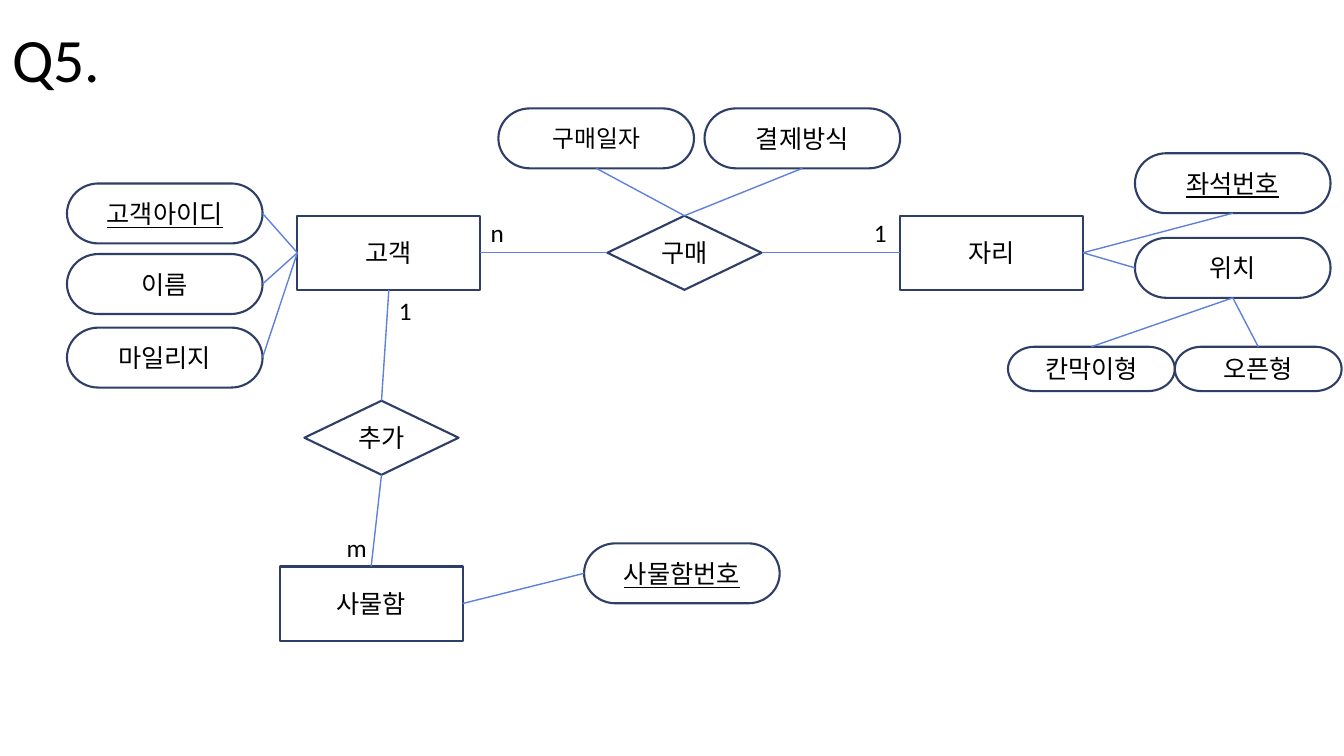
from dataclasses import dataclass

from pptx import Presentation
from pptx.dml.color import RGBColor
from pptx.enum.shapes import MSO_CONNECTOR, MSO_SHAPE
from pptx.enum.text import MSO_ANCHOR, MSO_AUTO_SIZE, PP_ALIGN
from pptx.oxml.ns import qn
from pptx.util import Emu, Inches, Pt
from lxml import etree

RECT = MSO_SHAPE.RECTANGLE
OVAL = MSO_SHAPE.FLOWCHART_TERMINATOR
RHOMB = MSO_SHAPE.FLOWCHART_DECISION
STRAIGHT = MSO_CONNECTOR.STRAIGHT
LEFT, CENTER = PP_ALIGN.LEFT, PP_ALIGN.CENTER
TOP, MIDDLE = MSO_ANCHOR.TOP, MSO_ANCHOR.MIDDLE
NO_FIT = MSO_AUTO_SIZE.NONE

# Connection sites shared by all three outlines
UP, WEST, DOWN, EAST = range(4)

# The grid has ten columns and ten rows to the inch
CELL = Inches(0.1)
COLS, ROWS = 133.33, 75

FONT = "Calibri"
INK, PAPER, EDGE, WIRE = "000000", "FFFFFF", "2E3E67", "5E81D9"


@dataclass(frozen=True)
class Kind:
    form: MSO_SHAPE
    cols: float
    rows: float


@dataclass(frozen=True)
class Node:
    text: str
    kind: Kind
    col: float
    row: float
    key: bool = False
    size: float = 18


@dataclass(frozen=True)
class Link:
    start: str
    out: int
    end: str
    into: int


@dataclass(frozen=True)
class Mark:
    text: str
    col: float
    row: float


ENTITY = Kind(RECT, 18.15, 7.35)
ACTION = Kind(RHOMB, 15.3, 7.35)
FIELD = Kind(OVAL, 19.4, 5.95)
OPTION = Kind(OVAL, 16.55, 4.4)

MAIN = 21.4   # row of the main entities
SIDE = 6.65   # column of the customer fields
SEAT = 112.6  # column of the seat fields
HEAD = 10.75  # row of the purchase fields
LOW = 34.4    # row of the seat options

NODES = [
    Node("자리", ENTITY, 89.3, MAIN),
    Node("고객", ENTITY, 29.5, MAIN),
    Node("사물함", ENTITY, 27.75, 56.2),
    Node("구매", ACTION, 60.25, MAIN),
    Node("추가", ACTION, 30.2, 39.75),
    Node("사물함번호", FIELD, 57.95, 53.9, key=True),
    Node("위치", FIELD, SEAT, 23.6),
    Node("좌석번호", FIELD, SEAT, 15.2, key=True),
    Node("고객아이디", FIELD, SIDE, 18.2, key=True),
    Node("이름", FIELD, SIDE, 25.2),
    Node("마일리지", FIELD, SIDE, 32.5),
    Node("구매일자", FIELD, 49.45, HEAD, size=17),
    Node("결제방식", FIELD, 69.9, HEAD),
    Node("칸막이형", OPTION, 100, LOW),
    Node("오픈형", OPTION, 116.55, LOW),
]

LINKS = [
    Link("구매", EAST, "자리", WEST),
    Link("고객", EAST, "구매", WEST),
    Link("자리", EAST, "위치", WEST),
    Link("자리", EAST, "좌석번호", DOWN),
    Link("구매", UP, "구매일자", DOWN),
    Link("구매", UP, "결제방식", DOWN),
    Link("고객아이디", EAST, "고객", WEST),
    Link("이름", EAST, "고객", WEST),
    Link("마일리지", EAST, "고객", WEST),
    Link("사물함", EAST, "사물함번호", WEST),
    Link("추가", UP, "고객", DOWN),
    Link("추가", DOWN, "사물함", UP),
    Link("칸막이형", UP, "위치", DOWN),
    Link("위치", DOWN, "오픈형", UP),
]

MARKS = [
    Mark("1", 85.7, 21.1),
    Mark("n", 47.7, 21.1),
    Mark("1", 38.6, 28.8),
    Mark("m", 33.4, 52.3),
]


def span(cells: float) -> Emu:
    return Emu(round(cells * CELL))


def box(col: float, row: float, cols: float, rows: float) -> tuple:
    return span(col), span(row), span(cols), span(rows)


def tint(code: str) -> RGBColor:
    return RGBColor.from_string(code)


def write(shape, text: str, *, size: float = 18, align=LEFT, anchor=TOP,
          under: bool = False, color: str = INK) -> None:
    frame = shape.text_frame
    frame.word_wrap = True
    frame.auto_size = NO_FIT
    frame.vertical_anchor = anchor
    para = frame.paragraphs[0]
    para.alignment = align
    run = para.add_run()
    run.text = text
    run.font.name = FONT
    run.font.size = Pt(size)
    run.font.color.rgb = tint(color)
    if under:
        run.font.underline = True


def draw_node(slide, node: Node):
    kind = node.kind
    shape = slide.shapes.add_shape(
        kind.form, *box(node.col, node.row, kind.cols, kind.rows))
    shape.shadow.inherit = False
    shape.fill.solid()
    shape.fill.fore_color.rgb = tint(PAPER)
    shape.line.color.rgb = tint(EDGE)
    shape.line.width = Pt(1.5)
    write(shape, node.text, size=node.size, align=CENTER, anchor=MIDDLE,
          under=node.key)
    return shape


def draw_link(slide, link: Link, drawn: dict) -> None:
    line = slide.shapes.add_connector(STRAIGHT, 0, 0, 0, 0)
    line.begin_connect(drawn[link.start], link.out)
    line.end_connect(drawn[link.end], link.into)
    line.line.color.rgb = tint(WIRE)
    line.line.width = Pt(1)
    etree.SubElement(line.element.spPr, qn("a:effectLst"))


def draw_mark(slide, mark: Mark) -> None:
    label = slide.shapes.add_textbox(*box(mark.col, mark.row, 3.6, 3.9))
    write(label, mark.text)


def main() -> None:
    deck = Presentation()
    deck.slide_width, deck.slide_height = span(COLS), span(ROWS)
    slide = deck.slides.add_slide(deck.slide_layouts[5])

    # Title
    title = slide.shapes.title
    title.left, title.top, title.width, title.height = box(0.2, 0, 120, 12.5)
    write(title, "Q5.", size=44, anchor=MIDDLE)
    title.text_frame.paragraphs[0].line_spacing = 0.9

    # Entities, relationships and fields, then their links
    drawn = {node.text: draw_node(slide, node) for node in NODES}
    for link in LINKS:
        draw_link(slide, link, drawn)

    # Cardinalities
    for mark in MARKS:
        draw_mark(slide, mark)

    deck.save("out.pptx")


if __name__ == "__main__":
    main()
